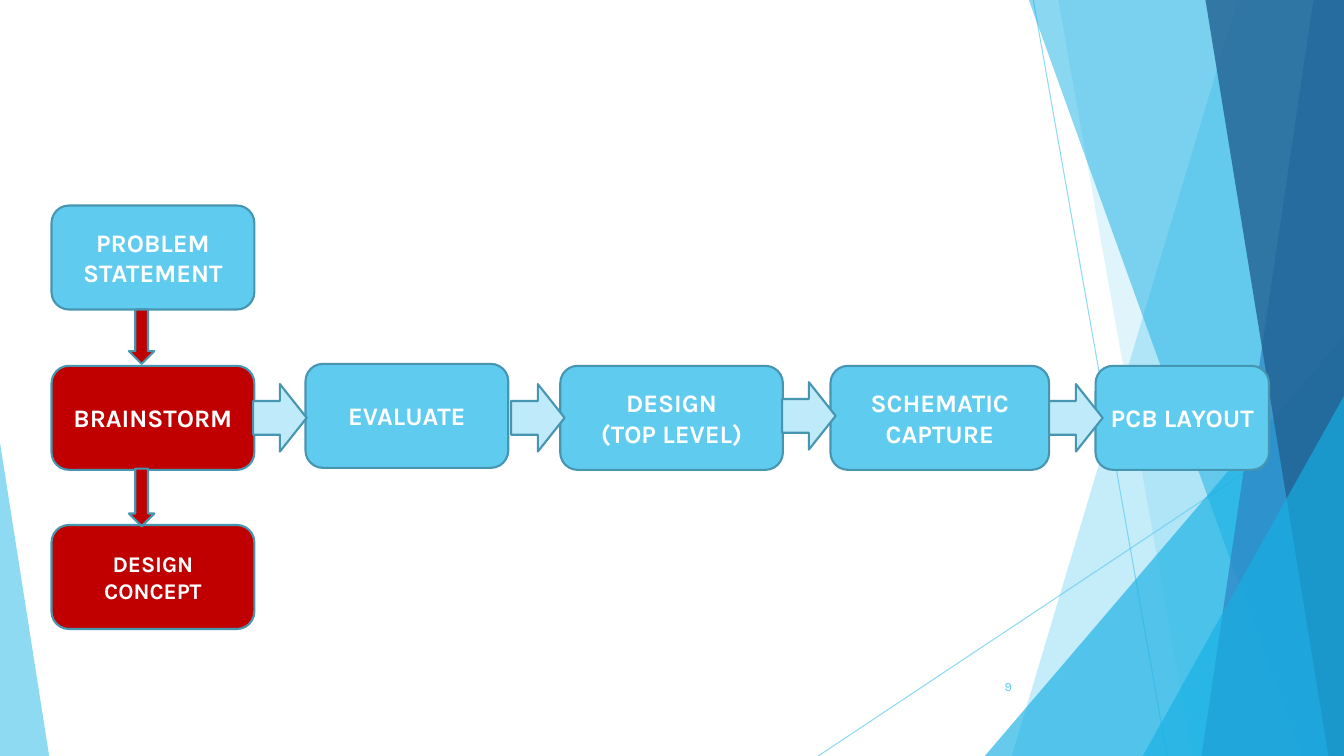
from dataclasses import dataclass

from lxml.etree import SubElement
from pptx import Presentation
from pptx.dml.color import RGBColor
from pptx.enum.shapes import MSO_CONNECTOR, MSO_SHAPE
from pptx.enum.text import MSO_ANCHOR, PP_ALIGN
from pptx.oxml.ns import qn
from pptx.util import Cm, Pt


@dataclass(frozen=True)
class Theme:
    font: str = "Karla"
    sky: str = "5FCBEF"
    cyan: str = "17B0E4"
    blue: str = "2E83C3"
    navy: str = "226292"
    pale: str = "BFEAF9"
    red: str = "C00000"
    edge: str = "4696B1"
    white: str = "FFFFFF"
    label: int = 18
    small: int = 16
    number: int = 9
    border: float = 1.5
    hair: float = 0.75


WIDTH, HEIGHT = 33.87, 19.05


class Board:
    """Holds the theme and the slide; all lengths are centimetres."""

    def __init__(self, slide, theme):
        self.shapes = slide.shapes
        self.theme = theme

    def fade(self, fill, color, alpha):
        """Apply a solid colour with an opacity in percent."""
        fill.solid()
        fill.fore_color.rgb = RGBColor.from_string(color)
        if alpha < 100:
            tint = fill._xPr.find(qn("a:solidFill"))[0]
            SubElement(tint, qn("a:alpha")).set("val", str(alpha * 1000))

    def paint(self, shape, color, alpha=100, edge=False):
        shape.shadow.inherit = False
        self.fade(shape.fill, color, alpha)
        if edge:
            shape.line.color.rgb = RGBColor.from_string(self.theme.edge)
            shape.line.width = Pt(self.theme.border)
        else:
            shape.line.fill.background()

    def line(self, x1, y1, x2, y2):
        line = self.shapes.add_connector(
            MSO_CONNECTOR.STRAIGHT, Cm(x1), Cm(y1), Cm(x2), Cm(y2))
        self.fade(line.line.fill, self.theme.sky, 70)
        line.line.width = Pt(self.theme.hair)
        SubElement(line._element.spPr, qn("a:effectLst"))

    def band(self, top, base, color, alpha):
        """Fill from a slanted left edge to the right side of the slide."""
        pen = self.shapes.build_freeform(Cm(top), Cm(0))
        pen.add_line_segments([(Cm(WIDTH), Cm(0)), (Cm(WIDTH), Cm(HEIGHT)),
                               (Cm(base), Cm(HEIGHT))], close=True)
        self.paint(pen.convert_to_shape(), color, alpha)

    def shape(self, kind, x, y, w, h):
        return self.shapes.add_shape(kind, Cm(x), Cm(y), Cm(w), Cm(h))

    def wedge(self, x, y, w, peak, color, alpha):
        """Triangle on the slide's bottom edge, peak at 0 (left) to 1."""
        wedge = self.shape(MSO_SHAPE.ISOSCELES_TRIANGLE, x, y, w, HEIGHT - y)
        wedge.adjustments[0] = peak
        self.paint(wedge, color, alpha)

    def arrow(self, kind, x, y, w, h, color):
        self.paint(self.shape(kind, x, y, w, h), color, edge=True)

    def letter(self, shape, text, size, color, align, bold=False):
        """Set the text of a shape and format all of its runs."""
        frame = shape.text_frame
        frame.text = text
        frame.word_wrap = True
        frame.vertical_anchor = MSO_ANCHOR.MIDDLE
        for para in frame.paragraphs:
            para.alignment = align
            for run in para.runs:
                run.font.name = self.theme.font
                run.font.size = Pt(size)
                run.font.bold = bold
                run.font.color.rgb = RGBColor.from_string(color)

    def step(self, text, x, y, w, color, size):
        box = self.shape(MSO_SHAPE.ROUNDED_RECTANGLE, x, y, w, 2.62)
        self.paint(box, color, edge=True)
        self.letter(box, text, size, self.theme.white, PP_ALIGN.CENTER, True)
        box.text_frame.margin_left = box.text_frame.margin_right = Cm(0.2)

    def number(self, text, x, y, w, h):
        box = self.shapes.add_textbox(Cm(x), Cm(y), Cm(w), Cm(h))
        self.letter(box, text, self.theme.number, self.theme.sky,
                    PP_ALIGN.RIGHT)


def backdrop(board):
    theme = board.theme
    board.line(26.04, 0, 29.41, HEIGHT)
    board.line(WIDTH, 10.24, 20.62, HEIGHT)
    board.band(31.19, 25.5, theme.sky, 36)
    board.band(26.67, 30.05, theme.sky, 20)
    board.wedge(24.82, 8.46, 9.05, 1, theme.cyan, 66)
    board.band(25.93, 32.79, theme.cyan, 50)
    board.band(33.1, 30.28, theme.blue, 70)
    board.band(30.38, 33.48, theme.navy, 80)
    board.wedge(28.8, 9.98, 5.07, 1, theme.cyan, 66)
    board.wedge(0, 11.15, 1.24, 0, theme.sky, 70)


def flow(board):
    theme = board.theme
    left, row, wide = 1.3, 9.22, 5.11
    steps = [
        ("BRAINSTORM", left, row, wide, theme.red, theme.label),
        ("PROBLEM STATEMENT", left, 5.18, wide, theme.sky, theme.label),
        ("DESIGN CONCEPT", left, 13.23, wide, theme.red, theme.small),
        ("EVALUATE", 7.7, 9.17, wide, theme.sky, theme.label),
        ("DESIGN\n(TOP LEVEL)", 14.12, row, 5.61, theme.sky, theme.label),
        ("SCHEMATIC CAPTURE", 20.93, row, 5.51, theme.sky, theme.label),
        ("PCB LAYOUT", 27.61, row, 4.37, theme.sky, theme.label),
    ]
    for step in steps:
        board.step(*step)
    for x, y in [(6.38, 9.68), (12.88, 9.68), (19.71, 9.63), (26.44, 9.68)]:
        board.arrow(MSO_SHAPE.RIGHT_ARROW, x, y, 1.35, 1.7, theme.pale)
    for y, h in [(7.8, 1.37), (11.81, 1.45)]:
        board.arrow(MSO_SHAPE.DOWN_ARROW, 3.25, y, 0.64, h, theme.red)


def main():
    deck = Presentation()
    deck.slide_width, deck.slide_height = Cm(WIDTH), Cm(HEIGHT)
    board = Board(deck.slides.add_slide(deck.slide_layouts[6]), Theme())
    backdrop(board)
    flow(board)
    board.number("9", 23.85, 16.79, 1.9, 1.02)
    deck.save("out.pptx")


if __name__ == "__main__":
    main()
